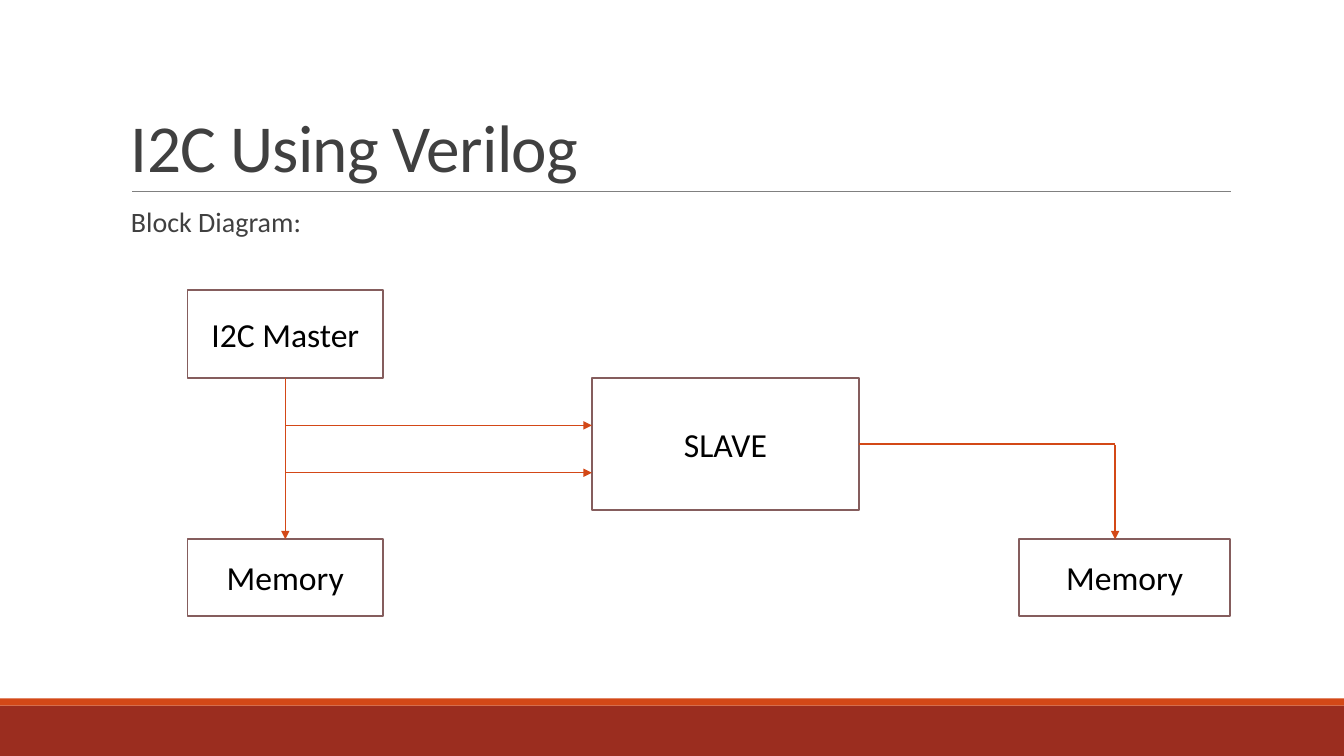
from lxml import etree
from pptx import Presentation
from pptx.dml.color import RGBColor
from pptx.enum.shapes import MSO_CONNECTOR, MSO_SHAPE
from pptx.enum.text import MSO_ANCHOR, PP_ALIGN
from pptx.oxml.ns import qn
from pptx.util import Inches, Pt

RECTANGLE = MSO_SHAPE.RECTANGLE
STRAIGHT = MSO_CONNECTOR.STRAIGHT
CENTER = PP_ALIGN.CENTER
MIDDLE, TOP, BOTTOM = MSO_ANCHOR.MIDDLE, MSO_ANCHOR.TOP, MSO_ANCHOR.BOTTOM
SIDE_TOP, SIDE_BOTTOM, SIDE_RIGHT = 0, 2, 3

FONT = "Calibri"
COLORS = {
    "band": "9B2D1F", "accent": "D34817", "rule": "808080", "heading": "404040",
    "box": "FFFFFF", "border": "855D5D", "label": "000000",
}
PAGE_WIDTH, PAGE_HEIGHT = 13.33, 7.5
TITLE = "I2C Using Verilog"
SUBTITLE = "Block Diagram:"

# left, top, width, height
BANDS = [("band", (0, 7, PAGE_WIDTH, 0.5)), ("accent", (0, 6.93, PAGE_WIDTH, 0.07))]
BLOCKS = {
    "master": ("I2C Master", (1.86, 2.88, 1.94, 0.87)),
    "master memory": ("Memory", (1.86, 5.35, 1.94, 0.76)),
    "slave": ("SLAVE", (5.87, 3.75, 2.65, 1.31)),
    "slave memory": ("Memory", (10.11, 5.35, 2.09, 0.76)),
}
BUS_X, SLAVE_LEFT = 2.83, 5.87
SIGNAL_LEVELS = [4.22, 4.69]
CORNER_X, CORNER_Y = 11.06, 4.41


def rgb(name):
    return RGBColor.from_string(COLORS[name])


def add_rectangle(page, place, fill, border=None):
    box = page.shapes.add_shape(RECTANGLE, *map(Inches, place))
    box.shadow.inherit = False
    box.fill.solid()
    box.fill.fore_color.rgb = rgb(fill)
    if border:
        box.line.color.rgb = rgb(border)
        box.line.width = Pt(1.25)
    else:
        box.line.fill.background()
    return box


def write(box, text, size, color, anchor):
    frame = box.text_frame
    frame.word_wrap = True
    frame.vertical_anchor = anchor
    para = frame.paragraphs[0]
    para.text = text
    para.font.name = FONT
    para.font.size = Pt(size)
    para.font.color.rgb = rgb(color)
    return para


def add_line(page, start, end, color="accent", width=1, arrow=False):
    line = page.shapes.add_connector(STRAIGHT, *map(Inches, start + end))
    line.line.color.rgb = rgb(color)
    line.line.width = Pt(width)
    if arrow:
        etree.SubElement(line.line._get_or_add_ln(), qn("a:tailEnd"), type="triangle")
    etree.SubElement(line._element.spPr, qn("a:effectLst"))
    return line


def add_headings(page):
    title = page.shapes.add_textbox(*map(Inches, (1.2, 0.31, 11, 1.59)))
    para = write(title, TITLE, 48, "heading", BOTTOM)
    para.line_spacing = 0.85
    para.runs[0]._r.get_or_add_rPr().set("spc", "-50")

    subtitle = page.shapes.add_textbox(*map(Inches, (1.2, 2.02, 11, 4.4)))
    para = write(subtitle, SUBTITLE, 20, "heading", TOP)
    para.line_spacing = 0.9
    para.space_before, para.space_after = Pt(12), Pt(2)


def add_diagram(page):
    blocks = {}
    for name, (label, place) in BLOCKS.items():
        blocks[name] = add_rectangle(page, place, "box", "border")
        write(blocks[name], label, 24, "label", MIDDLE).alignment = CENTER

    bus = add_line(page, (BUS_X, 3.75), (BUS_X, 5.35), arrow=True)
    bus.begin_connect(blocks["master"], SIDE_BOTTOM)
    bus.end_connect(blocks["master memory"], SIDE_TOP)
    for level in SIGNAL_LEVELS:
        add_line(page, (BUS_X, level), (SLAVE_LEFT, level), arrow=True)
    output = add_line(page, (8.52, CORNER_Y), (CORNER_X, CORNER_Y))
    output.begin_connect(blocks["slave"], SIDE_RIGHT)
    output.end_y = output.begin_y
    add_line(page, (CORNER_X, CORNER_Y), (CORNER_X, 5.35), arrow=True)


def main():
    deck = Presentation()
    deck.slide_width, deck.slide_height = Inches(PAGE_WIDTH), Inches(PAGE_HEIGHT)
    page = deck.slides.add_slide(deck.slide_layouts[6])
    for color, place in BANDS:
        add_rectangle(page, place, color)
    add_line(page, (1.31, 1.9), (12.21, 1.9), "rule", 0.5)
    add_headings(page)
    add_diagram(page)
    deck.save("out.pptx")


if __name__ == "__main__":
    main()
